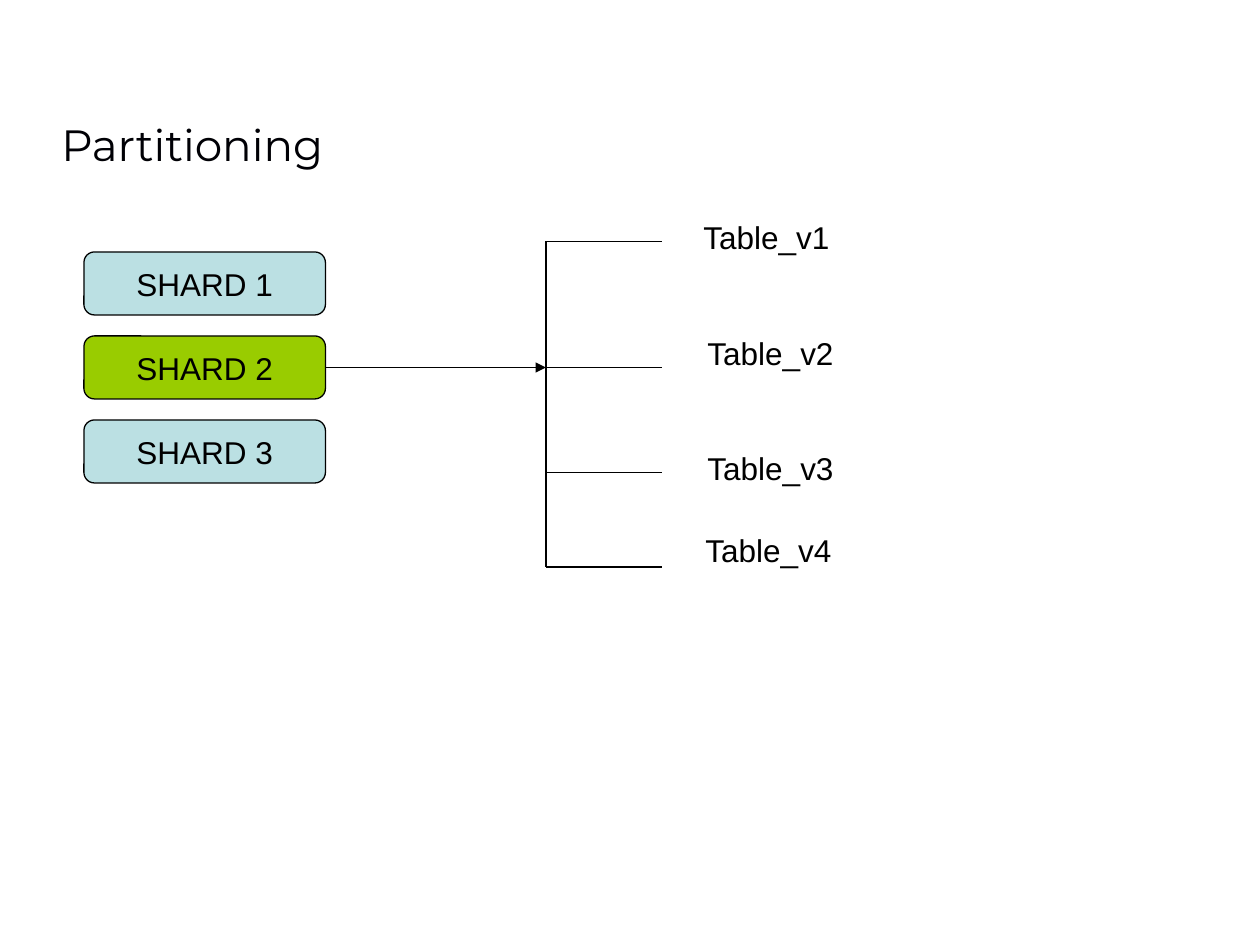
from pptx import Presentation
from pptx.dml.color import RGBColor
from pptx.enum.shapes import MSO_CONNECTOR, MSO_SHAPE
from pptx.enum.text import MSO_ANCHOR as Anchor, MSO_AUTO_SIZE as AutoSize, PP_ALIGN as Align
from pptx.oxml.ns import qn
from pptx.util import Inches, Pt
from lxml.etree import SubElement

INK = RGBColor(0x00, 0x00, 0x00)
TITLE_INK = RGBColor(0x00, 0x00, 0x05)
PALE_BLUE = RGBColor(0xBB, 0xE0, 0xE3)
GREEN = RGBColor(0x99, 0xCC, 0x00)


class Diagram:
    """Style and current slide; lengths are cells of a 120 x 90 grid."""
    font, size, line_width = "Arial", Pt(18), Pt(0.75)
    cell = Inches(1) / 12

    def __init__(self, slide):
        self.slide = slide

    def grid(self, *cells):
        return [round(n * self.cell) for n in cells]

    def add_text(self, paragraph, text, font=font, size=size, color=INK):
        run = paragraph.add_run()
        run.text = text
        run.font.name, run.font.size = font, size
        run.font.color.rgb = color

    def title(self, text, col, row, cols, rows):
        heading = self.slide.shapes.title
        heading.left, heading.top, heading.width, heading.height = self.grid(col, row, cols, rows)
        frame = heading.text_frame
        frame.vertical_anchor, frame.auto_size = Anchor.BOTTOM, AutoSize.NONE
        frame.margin_left, frame.margin_right = Inches(0.11), Inches(0.13)
        frame.margin_top = frame.margin_bottom = 0
        paragraph = frame.paragraphs[0]
        paragraph.alignment = Align.LEFT
        props = paragraph._p.get_or_add_pPr()
        props.set("marL", str(Inches(0.1)))
        props.set("indent", str(Inches(-0.09)))
        self.add_text(paragraph, text, "Montserrat", Pt(25), TITLE_INK)

    def box(self, text, fill, col, row, cols, rows):
        shape = self.slide.shapes.add_shape(
            MSO_SHAPE.FLOWCHART_ALTERNATE_PROCESS, *self.grid(col, row, cols, rows))
        shape.shadow.inherit = False
        shape.fill.solid()
        shape.fill.fore_color.rgb = fill
        shape.line.color.rgb, shape.line.width = INK, self.line_width
        frame = shape.text_frame
        frame.word_wrap, frame.vertical_anchor = False, Anchor.MIDDLE
        frame.paragraphs[0].alignment = Align.CENTER
        self.add_text(frame.paragraphs[0], text)
        return shape

    def line(self, col, row, end_col, end_row, arrow=False):
        link = self.slide.shapes.add_connector(
            MSO_CONNECTOR.STRAIGHT, *self.grid(col, row, end_col, end_row))
        link.line.color.rgb, link.line.width = INK, self.line_width
        props = link._element.spPr
        if arrow:
            SubElement(props.find(qn("a:ln")), qn("a:tailEnd"), type="triangle")
        SubElement(props, qn("a:effectLst"))
        return link

    def label(self, text, col, row, cols, rows):
        frame = self.slide.shapes.add_textbox(*self.grid(col, row, cols, rows)).text_frame
        frame.word_wrap, frame.auto_size = False, AutoSize.SHAPE_TO_FIT_TEXT
        self.add_text(frame.paragraphs[0], text)


def main():
    deck = Presentation()
    deck.slide_width, deck.slide_height = Inches(10), Inches(7.5)
    diagram = Diagram(deck.slides.add_slide(deck.slide_layouts[5]))
    diagram.title("Partitioning", 4.4, 9.6, 108.2, 6.6)

    # Stack of shards, the second one highlighted
    shards = [diagram.box(f"SHARD {i + 1}", fill, 8, 24 + 8 * i, 23, 6)
              for i, fill in enumerate((PALE_BLUE, GREEN, PALE_BLUE))]

    # Arrow from the highlighted shard to the bracket
    trunk, branch_end = 52, 63
    branch_rows = (23, 35, 45, 54)
    arrow = diagram.line(31, 35, trunk, 35, arrow=True)
    arrow.begin_connect(shards[1], 3)

    # Bracket with one branch per table
    diagram.line(trunk, branch_rows[0], trunk, branch_rows[-1])
    for row in branch_rows:
        diagram.line(trunk, row, branch_end, row)

    # Table names
    table_places = ((65.8, 20.2), (66.2, 31.2), (66.2, 42.2), (66, 50))
    for number, (col, row) in enumerate(table_places, 1):
        diagram.label(f"Table_v{number}", col, row, 14.8, 4.8)

    deck.save("out.pptx")


if __name__ == "__main__":
    main()
